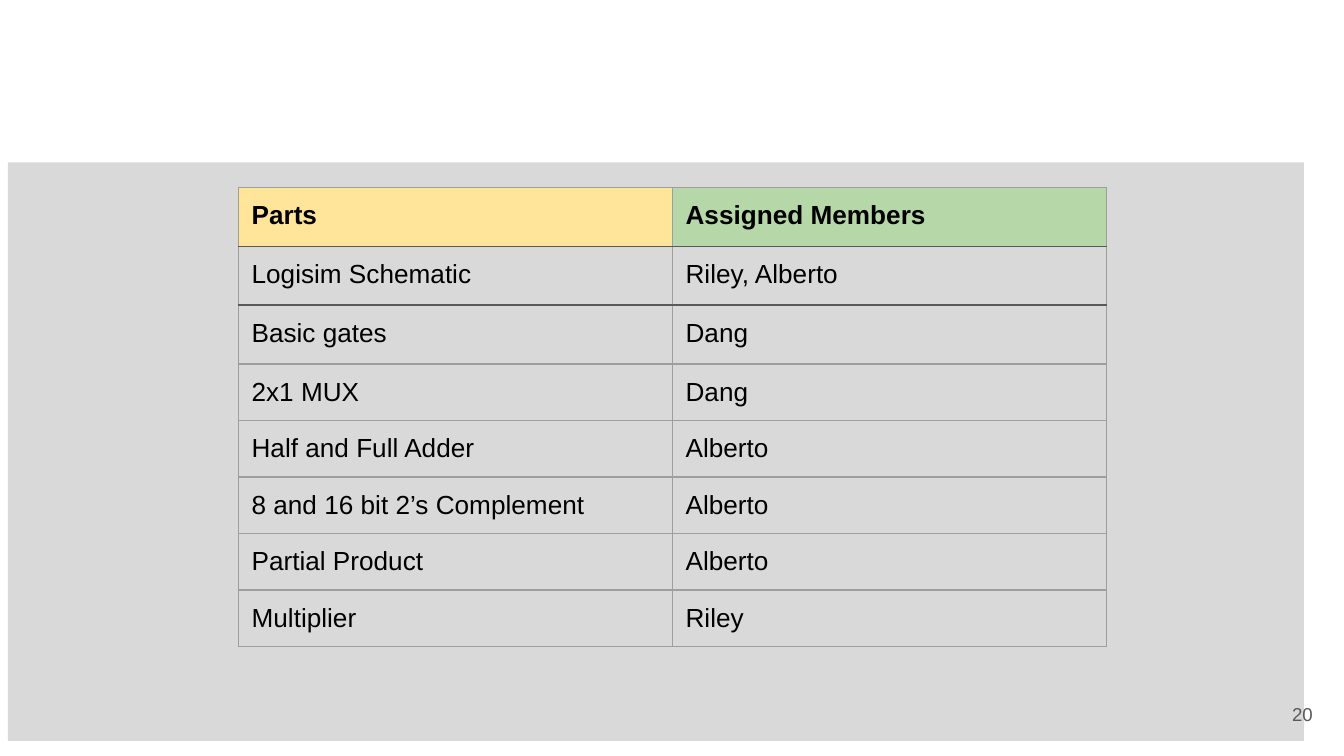
from lxml import etree
from pptx import Presentation
from pptx.dml.color import RGBColor
from pptx.enum.shapes import MSO_SHAPE as Shape
from pptx.enum.text import MSO_ANCHOR as Anchor, PP_ALIGN as Align
from pptx.oxml.ns import qn
from pptx.util import Pt

GREY, DARK = "9E9E9E", "595959"
HEADER_FILLS = ("FFE599", "B6D7A8")
ROW_HEIGHTS = [31.6] * 3 + [30.3] * 5
ASSIGNMENTS = [
    ("Parts", "Assigned Members"),
    ("Logisim Schematic", "Riley, Alberto"),
    ("Basic gates", "Dang"),
    ("2x1 MUX", "Dang"),
    ("Half and Full Adder", "Alberto"),
    ("8 and 16 bit 2’s Complement", "Alberto"),
    ("Partial Product", "Alberto"),
    ("Multiplier", "Riley"),
]


def color(value):
    return RGBColor.from_string(value)


def add_run(paragraph, text, size, text_color, bold=False):
    run = paragraph.add_run()
    run.text = text
    font = run.font
    font.name, font.size, font.bold = "Arial", Pt(size), bold
    font.color.rgb = color(text_color)


def set_borders(cell, **sides):
    """Draw the L, R, T and B borders; call before setting the cell's fill."""
    properties = cell._tc.get_or_add_tcPr()
    for side, line_color in sides.items():
        line = etree.SubElement(properties, qn(f"a:ln{side}"), w=str(Pt(0.75)))
        fill = etree.SubElement(line, qn("a:solidFill"))
        etree.SubElement(fill, qn("a:srgbClr"), val=line_color)


def add_panel(slide, left, top, width, height):
    panel = slide.shapes.add_shape(
        Shape.RECTANGLE, Pt(left), Pt(top), Pt(width), Pt(height))
    panel.shadow.inherit = False
    panel.fill.solid()
    panel.fill.fore_color.rgb = color("D9D9D9")
    panel.line.fill.background()


def add_assignment_table(slide, left, top, width):
    frame = slide.shapes.add_table(
        len(ASSIGNMENTS), 2, Pt(left), Pt(top), Pt(width), Pt(sum(ROW_HEIGHTS)))
    table = frame.table
    table.first_row = table.horz_banding = False
    for column in table.columns:
        column.width = Pt(width / 2)
    for row_index, texts in enumerate(ASSIGNMENTS):
        table.rows[row_index].height = Pt(ROW_HEIGHTS[row_index])
        is_header = row_index == 0
        for column_index, text in enumerate(texts):
            cell = table.cell(row_index, column_index)
            cell.margin_left = cell.margin_right = Pt(7.2)
            cell.margin_top = cell.margin_bottom = Pt(7.2)
            add_run(cell.text_frame.paragraphs[0], text, 14, "000000", is_header)
            set_borders(cell, L=GREY, R=GREY,
                        T=DARK if row_index in (1, 2) else GREY,
                        B=DARK if row_index in (0, 1) else GREY)
            if is_header:
                cell.fill.solid()
                cell.fill.fore_color.rgb = color(HEADER_FILLS[column_index])
            else:
                cell.fill.background()


def add_page_number(slide, left, top, width, height):
    box = slide.shapes.add_textbox(Pt(left), Pt(top), Pt(width), Pt(height))
    frame = box.text_frame
    frame.word_wrap = True
    frame.vertical_anchor = Anchor.MIDDLE
    frame.margin_left = frame.margin_right = Pt(7.2)
    frame.margin_top = frame.margin_bottom = Pt(7.2)
    paragraph = frame.paragraphs[0]
    paragraph.alignment = Align.RIGHT
    add_run(paragraph, "20", 10, DARK)


def main():
    presentation = Presentation()
    presentation.slide_width, presentation.slide_height = Pt(720), Pt(405)
    slide = presentation.slides.add_slide(presentation.slide_layouts[6])
    add_panel(slide, 4.3, 87, 694.2, 310)
    add_assignment_table(slide, 127.6, 100.3, 465)
    add_page_number(slide, 667.2, 367.2, 43.2, 31)
    presentation.save("out.pptx")


if __name__ == "__main__":
    main()
